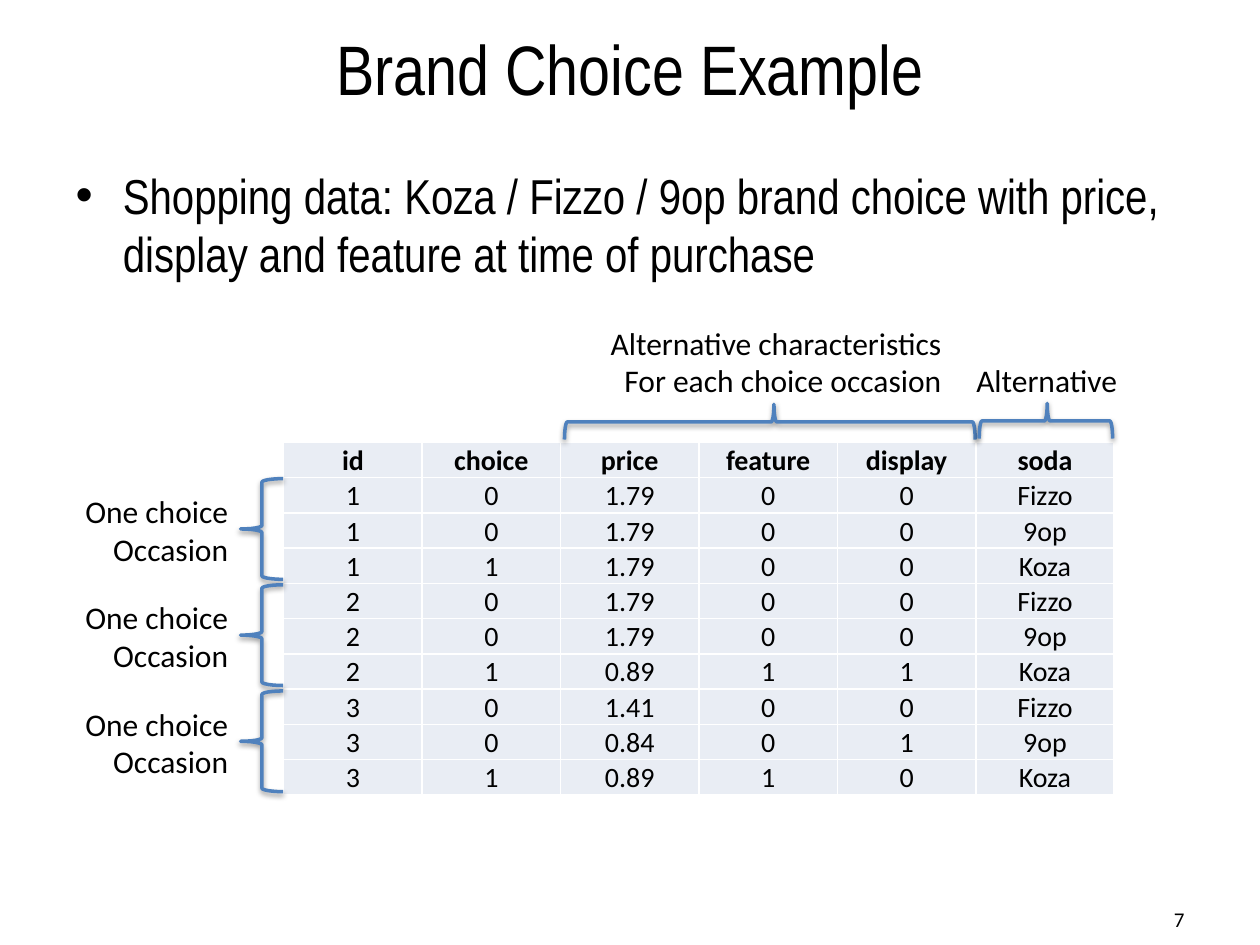
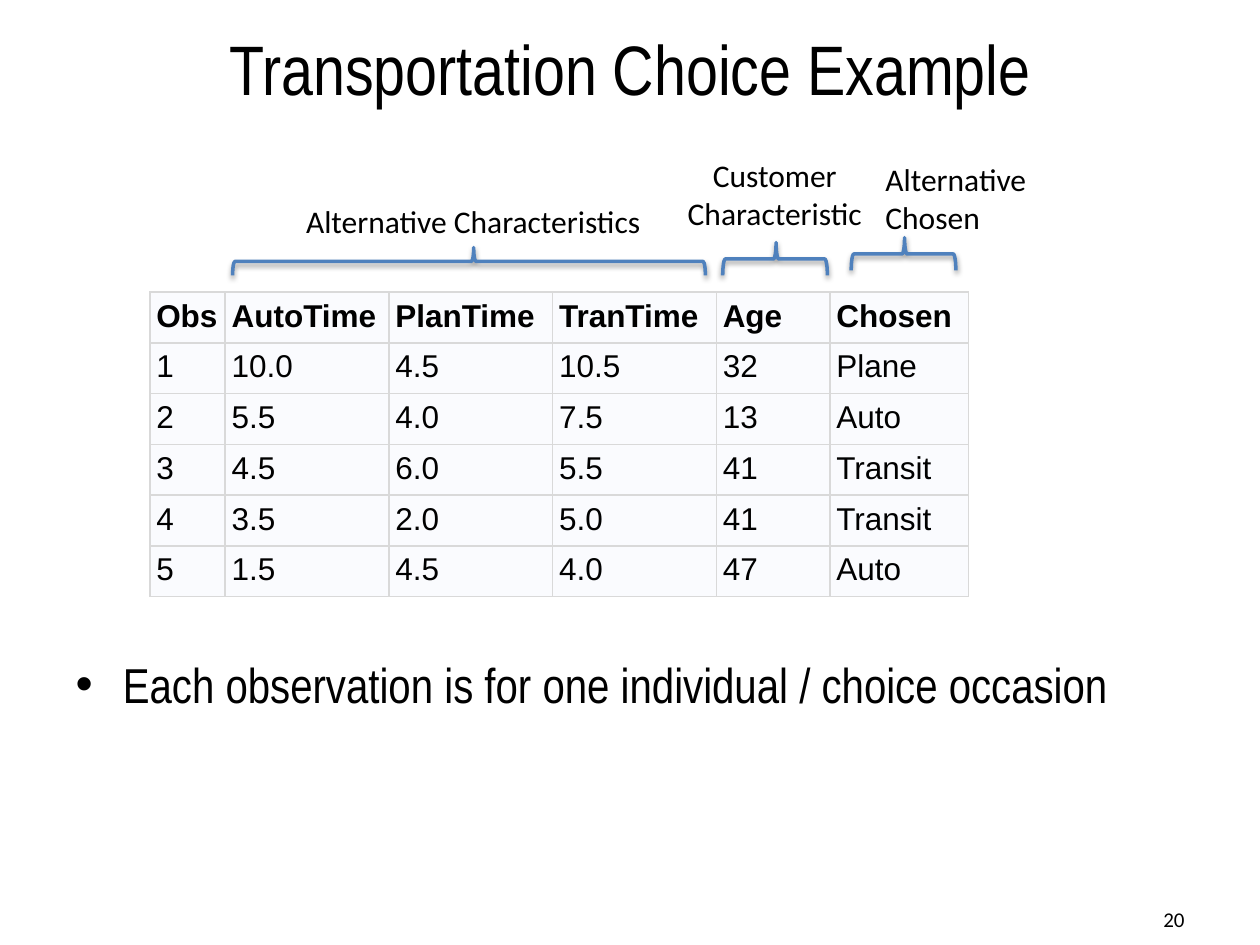
import pptx
import pptx.dml.color
import pptx.enum.shapes
import pptx.enum.text
import pptx.oxml
import pptx.oxml.ns
import pptx.util

Cm = pptx.util.Cm
RGBColor = pptx.dml.color.RGBColor
ALIGN = pptx.enum.text.PP_ALIGN
ANCHOR = pptx.enum.text.MSO_ANCHOR
SHAPE = pptx.enum.shapes.MSO_SHAPE

BLACK = RGBColor(0x00, 0x00, 0x00)
WHITE = RGBColor(0xFF, 0xFF, 0xFF)
BRACE_BLUE = RGBColor(0x4F, 0x81, 0xBD)
PALE_BLUE = RGBColor(0xE9, 0xED, 0xF4)
NEAR_WHITE = RGBColor(0xFA, 0xFB, 0xFE)
RULE_GREY = RGBColor(0xD9, 0xD9, 0xD9)

BRAND_ROWS = [
    ["id", "choice", "price", "feature", "display", "soda"],
    ["1", "0", "1.79", "0", "0", "Fizzo"],
    ["1", "0", "1.79", "0", "0", "9op"],
    ["1", "1", "1.79", "0", "0", "Koza"],
    ["2", "0", "1.79", "0", "0", "Fizzo"],
    ["2", "0", "1.79", "0", "0", "9op"],
    ["2", "1", "0.89", "1", "1", "Koza"],
    ["3", "0", "1.41", "0", "0", "Fizzo"],
    ["3", "0", "0.84", "0", "1", "9op"],
    ["3", "1", "0.89", "1", "0", "Koza"],
]
TRANSPORT_ROWS = [
    ["Obs", "AutoTime", "PlanTime", "TranTime", "Age", "Chosen"],
    ["1", "10.0", "4.5", "10.5", "32", "Plane"],
    ["2", "5.5", "4.0", "7.5", "13", "Auto"],
    ["3", "4.5", "6.0", "5.5", "41", "Transit"],
    ["4", "3.5", "2.0", "5.0", "41", "Transit"],
    ["5", "1.5", "4.5", "4.0", "47", "Auto"],
]


def write(frame, text, font="Calibri", size=18, bold=False, color=BLACK,
          align=ALIGN.LEFT, anchor=ANCHOR.TOP):
    """Fill a text frame, one paragraph per line of text."""
    frame.word_wrap = True
    frame.vertical_anchor = anchor
    frame.text = text
    for paragraph in frame.paragraphs:
        paragraph.alignment = align
        paragraph.space_before = pptx.util.Pt(0)
        paragraph.font.name = font
        paragraph.font.size = pptx.util.Pt(size)
        paragraph.font.bold = bold
        paragraph.font.color.rgb = color


def add_borders(cell, color):
    """Rule all four sides; must run before the cell gets its fill."""
    for side in "LRTB":
        cell._tc.get_or_add_tcPr().append(pptx.oxml.parse_xml(
            f'<a:ln{side} {pptx.oxml.ns.nsdecls("a")} w="12700"><a:solidFill>'
            f'<a:srgbClr val="{color}"/></a:solidFill></a:ln{side}>'))


def add_soft_shadow(shape):
    shape._element.spPr.append(pptx.oxml.parse_xml(
        f'<a:effectLst {pptx.oxml.ns.nsdecls("a")}>'
        '<a:outerShdw blurRad="39370" dist="20320" dir="5400000" rotWithShape="0">'
        '<a:srgbClr val="000000"><a:alpha val="38000"/></a:srgbClr>'
        '</a:outerShdw></a:effectLst>'))


class Deck:
    heading_font = "Arial Narrow"

    def __init__(self):
        self.presentation = pptx.Presentation()
        self.presentation.slide_width = Cm(25.4)
        self.presentation.slide_height = Cm(19.05)
        self.slide = None

    def start_slide(self, title, bullet, number, body_top, body_height):
        layout = self.presentation.slide_layouts[1]
        self.slide = self.presentation.slides.add_slide(layout)
        heading, body = self.slide.placeholders
        self.place(heading, 1.27, 0, 22.86, 2.72)
        write(heading.text_frame, title, font=self.heading_font, size=40,
              align=ALIGN.CENTER, anchor=ANCHOR.MIDDLE)
        self.place(body, 1.27, body_top, 22.86, body_height)
        body.text_frame.auto_size = pptx.enum.text.MSO_AUTO_SIZE.NONE
        write(body.text_frame, bullet, font=self.heading_font, size=28)
        self.label(str(number), 18.21, 18.01, 5.92, 1.02, size=12,
                   align=ALIGN.RIGHT, anchor=ANCHOR.MIDDLE)

    def place(self, shape, left, top, width, height):
        shape.left, shape.top = Cm(left), Cm(top)
        shape.width, shape.height = Cm(width), Cm(height)

    def label(self, text, left, top, width, height=1.8, **style):
        box = self.slide.shapes.add_textbox(Cm(left), Cm(top), Cm(width), Cm(height))
        write(box.text_frame, text, **style)

    def brace(self, kind, left, top, width, height):
        brace = self.slide.shapes.add_shape(kind, Cm(left), Cm(top), Cm(width), Cm(height))
        brace.fill.background()
        brace.line.color.rgb = BRACE_BLUE
        brace.line.width = pptx.util.Pt(2)
        add_soft_shadow(brace)
        return brace

    def brace_above(self, left, top, span, depth):
        """Horizontal brace pointing up, given by its visible left, top and size."""
        brace = self.brace(SHAPE.RIGHT_BRACE, left + (span - depth) / 2,
                           top - (span - depth) / 2, depth, span)
        brace.rotation = 270
        brace.adjustments[0] = 0.08
        brace.adjustments[1] = 0.51

    def table(self, rows, left, top, column_widths, row_height, margins, fill, rule, **style):
        """Margins are left, top, right and bottom."""
        table = self.slide.shapes.add_table(
            len(rows), len(column_widths), Cm(left), Cm(top),
            Cm(sum(column_widths)), Cm(row_height * len(rows))).table
        table.horz_banding = False
        for column, width in zip(table.columns, column_widths):
            column.width = Cm(width)
        for r, values in enumerate(rows):
            table.rows[r].height = Cm(row_height)
            for c, value in enumerate(values):
                cell = table.cell(r, c)
                (cell.margin_left, cell.margin_top,
                 cell.margin_right, cell.margin_bottom) = map(Cm, margins)
                add_borders(cell, rule)
                cell.fill.solid()
                cell.fill.fore_color.rgb = fill
                anchor = style.get("anchor", ANCHOR.TOP)
                write(cell.text_frame, value, bold=r == 0, **style)
                cell.text_frame._txBody.bodyPr.attrib.clear()
                cell.vertical_anchor = anchor


def brand_choice(deck):
    deck.start_slide(
        "Brand Choice Example",
        "Shopping data: Koza / Fizzo / 9op brand choice with price, "
        "display and feature at time of purchase",
        7, body_top=3.2, body_height=14.02)
    deck.table(BRAND_ROWS, 5.72, 8.92, [2.79] * 6, 0.71, (0.03, 0.03, 0.03, 0),
               PALE_BLUE, WHITE, size=16, align=ALIGN.CENTER, anchor=ANCHOR.BOTTOM)
    for occasion in range(3):
        top = 9.65 + 2.14 * occasion
        deck.brace(SHAPE.LEFT_BRACE, 4.85, top, 0.86, 2.03)
        deck.label("One choice Occasion", 1.09, top + 0.15, 3.76, align=ALIGN.RIGHT)
    deck.label("Alternative characteristics\nFor each choice occasion",
               11.84, 6.4, 7.39, align=ALIGN.RIGHT)
    deck.brace_above(11.38, 8.15, 8.28, 0.71)
    deck.label("Alternative", 19.2, 7.16, 3.8, 1.02, align=ALIGN.CENTER)
    deck.brace_above(19.74, 8.13, 2.69, 0.71)


def transportation_choice(deck):
    deck.start_slide(
        "Transportation Choice Example",
        "Each observation is for one individual / choice occasion",
        20, body_top=13.06, body_height=4.93)
    deck.table(TRANSPORT_ROWS, 3.02, 5.89, [1.52, 3.3, 3.3, 3.3, 2.29, 2.79], 0.98,
               (0.13,) * 4, NEAR_WHITE, RULE_GREY, font="Arial")
    deck.label("Alternative Characteristics", 5.77, 3.94, 7.39, 1.02, align=ALIGN.RIGHT)
    deck.brace_above(4.69, 4.99, 9.53, 0.56)
    deck.label("Customer Characteristic", 13.42, 3.02, 4.4, align=ALIGN.CENTER)
    deck.brace_above(14.57, 4.89, 2.11, 0.66)
    deck.label("Alternative Chosen", 17.6, 3.1, 4.06)
    deck.brace_above(17.16, 4.79, 2.11, 0.66)


def main():
    deck = Deck()
    brand_choice(deck)
    transportation_choice(deck)
    deck.presentation.save("out.pptx")


if __name__ == "__main__":
    main()
